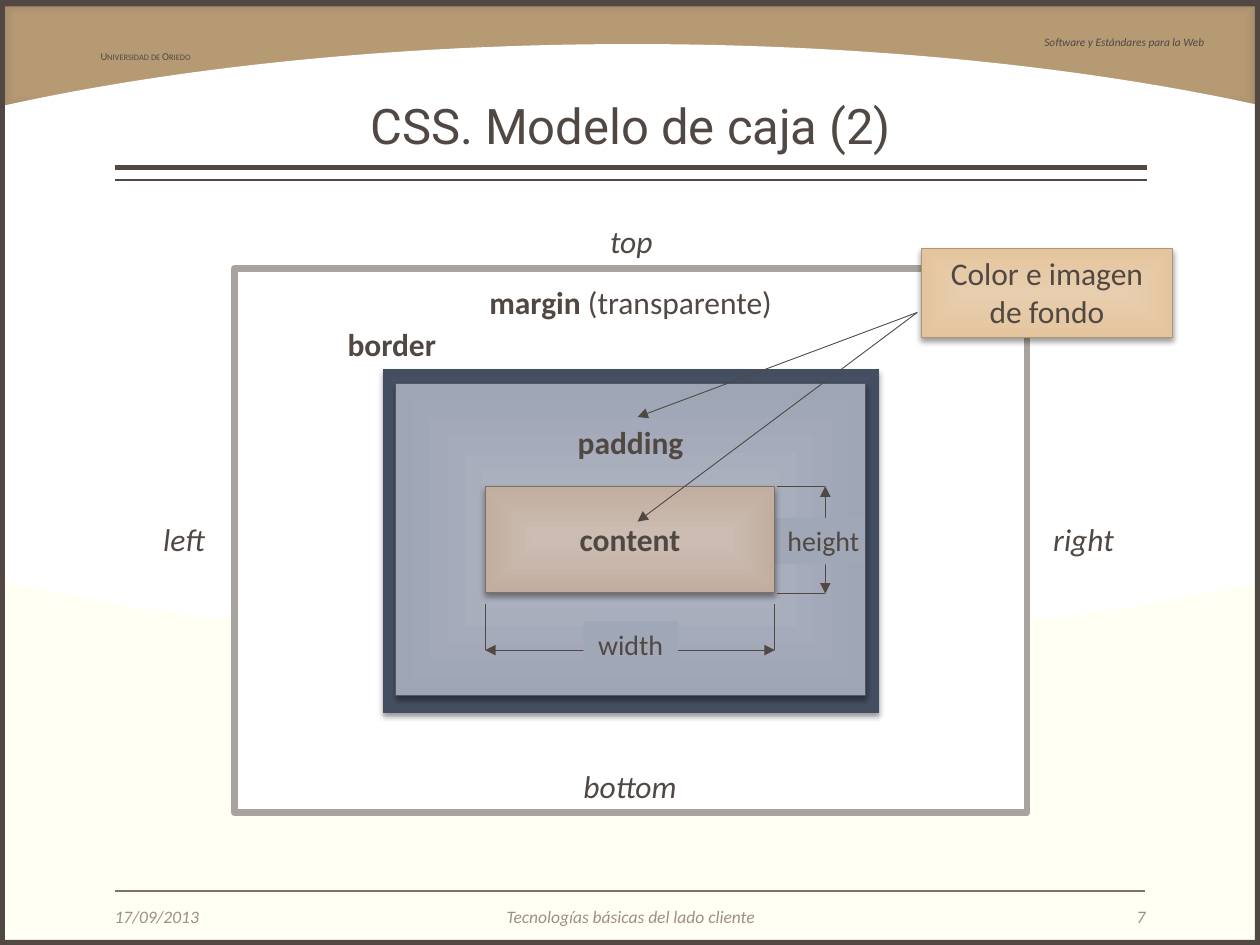
from dataclasses import dataclass

from lxml import etree
from pptx import Presentation
from pptx.dml.color import RGBColor
from pptx.enum.shapes import MSO_CONNECTOR, MSO_SHAPE
from pptx.enum.text import MSO_ANCHOR, PP_ALIGN
from pptx.oxml.ns import qn
from pptx.util import Inches, Pt

RECTANGLE, OVAL = MSO_SHAPE.RECTANGLE, MSO_SHAPE.OVAL
STRAIGHT = MSO_CONNECTOR.STRAIGHT
TOP, MIDDLE, BOTTOM = MSO_ANCHOR.TOP, MSO_ANCHOR.MIDDLE, MSO_ANCHOR.BOTTOM
LEFT, CENTER, RIGHT = PP_ALIGN.LEFT, PP_ALIGN.CENTER, PP_ALIGN.RIGHT

INK = RGBColor(0x51, 0x48, 0x43)
WHITE = RGBColor(0xFF, 0xFF, 0xFF)
CREAM = RGBColor(0xFF, 0xFF, 0xF3)
MUTED = RGBColor(0x9D, 0x8F, 0x88)
RULE = RGBColor(0x82, 0x72, 0x66)
MARGIN_LINE = RGBColor(0xA8, 0xA3, 0x9E)
PADDING_LINE = RGBColor(0x50, 0x58, 0x68)
CONTENT_LINE = RGBColor(0x80, 0x6F, 0x63)
CALLOUT_LINE = RGBColor(0xAB, 0x97, 0x7A)
LABEL_FILL = RGBColor(0xA0, 0xA8, 0xB7)
BAND = ((0, RGBColor(0xB7, 0x9B, 0x75)), (71, RGBColor(0xB5, 0x9A, 0x74)),
        (100, RGBColor(0xA1, 0x89, 0x67)))
BORDER = ((0, RGBColor(0x4E, 0x59, 0x6E)), (71, RGBColor(0x4D, 0x58, 0x6D)),
          (100, RGBColor(0x44, 0x4E, 0x61)))
PADDING = ((0, RGBColor(0xB1, 0xB6, 0xC2)), (100, RGBColor(0x9E, 0xA5, 0xB5)))
CONTENT = ((0, RGBColor(0xCC, 0xBD, 0xB3)), (100, RGBColor(0xC2, 0xAE, 0xA1)))
CALLOUT = ((0, RGBColor(0xE8, 0xCE, 0xAF)), (100, RGBColor(0xE4, 0xC4, 0x9D)))

COLUMNS, ROWS = 100, 75
CELL = Inches(0.1)


@dataclass
class Box:
    """A region of the slide, in grid columns and rows."""
    left: float
    top: float
    width: float
    height: float

    def inner(self, left, top, width, height):
        """Return a box placed from this box's corner."""
        return Box(self.left + left, self.top + top, width, height)

    def point(self, left, top):
        """Return a slide point placed from this box's corner."""
        return self.left + left, self.top + top

    def lengths(self):
        """Return left, top, width and height as slide lengths."""
        return [round(n * CELL) for n in (self.left, self.top, self.width, self.height)]


def add_xml(parent, tag, **attributes):
    """Append a drawing element to a parent."""
    return etree.SubElement(parent, qn(tag), {k: str(v) for k, v in attributes.items()})


def add_colour(parent, colour):
    """Append an RGB colour element."""
    return add_xml(parent, "a:srgbClr", val=colour)


def fill_from_centre(shape, stops):
    """Fill a shape with a rectangular gradient."""
    shape.fill.gradient()
    gradient = shape._element.spPr.find(qn("a:gradFill"))
    for child in list(gradient):
        gradient.remove(child)
    stop_list = add_xml(gradient, "a:gsLst")
    for position, colour in stops:
        add_colour(add_xml(stop_list, "a:gs", pos=position * 1000), colour)
    direction = add_xml(gradient, "a:path", path="rect")
    add_xml(direction, "a:fillToRect", l=50000, t=50000, r=50000, b=50000)


def add_block(slide, box, fill, line=None, line_width=0.5, blur=0, kind=RECTANGLE):
    """Add a filled shape, with a soft shadow when blur is given."""
    shape = slide.shapes.add_shape(kind, *box.lengths())
    shape.shadow.inherit = False
    if isinstance(fill, RGBColor):
        shape.fill.solid()
        shape.fill.fore_color.rgb = fill
    else:
        fill_from_centre(shape, fill)
    if line is None:
        shape.line.fill.background()
    else:
        shape.line.color.rgb = line
        shape.line.width = Pt(line_width)
    if blur:
        effects = shape._element.spPr.find(qn("a:effectLst"))
        shadow = add_xml(effects, "a:outerShdw", blurRad=Pt(blur), dist=Pt(2),
                         dir=5400000, algn="ctr", rotWithShape=0)
        add_xml(add_colour(shadow, RGBColor(0, 0, 0)), "a:alpha", val=38000)
    return shape


def write(shape, pieces, size, align=CENTER, anchor=TOP, side=0.1, top=0.05,
          right=None, spacing=None, small_caps=False, **font):
    """Write one paragraph made of (text, font values) pieces."""
    frame = shape.text_frame
    layout = {"word_wrap": True, "vertical_anchor": anchor, "margin_left": Inches(side),
              "margin_right": Inches(side if right is None else right),
              "margin_top": Inches(top), "margin_bottom": Inches(0.05)}
    for name, value in layout.items():
        setattr(frame, name, value)
    paragraph = frame.paragraphs[0]
    paragraph.alignment = align
    paragraph.line_spacing = spacing
    for text, extra in [(pieces, {})] if isinstance(pieces, str) else pieces:
        run = paragraph.add_run()
        run.text = text
        values = {"name": "Calibri", "size": Pt(size), **font, **extra}
        run.font.color.rgb = values.pop("colour", INK)
        for name, value in values.items():
            setattr(run.font, name, value)
        if small_caps:
            run._r.get_or_add_rPr().set("cap", "small")


def add_label(slide, box, pieces, size, **values):
    """Add a text box."""
    write(slide.shapes.add_textbox(*box.lengths()), pieces, size, **values)


def add_line(slide, start, end, colour=INK, width=0.5, heads=()):
    """Add a straight line with the given arrowheads."""
    ends = [round(n * CELL) for n in (*start, *end)]
    line = slide.shapes.add_connector(STRAIGHT, *ends)
    line.line.color.rgb = colour
    line.line.width = Pt(width)
    properties = line._element.spPr
    for head in heads:
        add_xml(properties.find(qn("a:ln")), head, type="triangle")
    add_xml(properties, "a:effectLst")


def add_header(slide, box):
    """Add the arched band, the frame, the title and its rules."""
    add_block(slide, box.inner(0, 0, COLUMNS, 8.8), BAND, blur=3.1)
    add_block(slide, box.inner(-32, 3.5, 164.4, 47.6), WHITE, kind=OVAL)
    for edge in ((0, 0, 0.4, ROWS), (COLUMNS - 0.4, 0, 0.4, ROWS),
                 (0, 0, COLUMNS, 0.5), (0, ROWS - 0.4, COLUMNS, 0.4)):
        add_block(slide, box.inner(*edge), INK)
    for row, width in ((13.3, 3), (14.3, 1)):
        add_line(slide, box.point(9.1, row), box.point(91, row), width=width)
    add_label(slide, box.inner(7, 3.5, 12, 2), "Universidad de Oriedo", 6,
              align=LEFT, small_caps=True)
    add_label(slide, box.inner(81.9, 2.3, 18.1, 2.1), "Software y Estándares para la Web",
              6.5, align=LEFT, italic=True)
    add_label(slide, box.inner(9.1, 0.8, 81.9, 12), "CSS. Modelo de caja (2)", 28,
              anchor=BOTTOM, side=0, spacing=0.9, name="Roboto")


def add_footer(slide, box):
    """Add the footer rule, date, subject and number."""
    add_line(slide, box.point(0, 0), box.point(box.width, 0), RULE, 1)
    for left, width, text, align in ((0, 15, "17/09/2013", LEFT),
                                     (15, 51.9, "Tecnologías básicas del lado cliente", CENTER),
                                     (66.8, 15, "7", RIGHT)):
        add_label(slide, box.inner(left, 0.6, width, 2.9), text, 10, align=align,
                  anchor=MIDDLE, side=0, italic=True, colour=MUTED)


def add_dimension(slide, start, end, tick):
    """Add a double arrow whose ends carry extension lines."""
    for column, row in (start, end):
        add_line(slide, (column - tick[0], row - tick[1]), (column, row))
    add_line(slide, start, end, heads=("a:headEnd", "a:tailEnd"))


def add_box_model(slide, box):
    """Add the nested boxes with their names, dimensions and callout."""
    add_block(slide, box, WHITE, MARGIN_LINE, 3.78)
    add_block(slide, box.inner(11.8, 8, 39.4, 27.3), BORDER, blur=3.1)
    padding = add_block(slide, box.inner(12.8, 9.1, 37.3, 24.8), PADDING, PADDING_LINE, blur=3.5)
    write(padding, "padding", 18, top=0.32, bold=True)

    add_label(slide, box.inner(8, 4, 11.9, 4), "border", 18, align=LEFT, bold=True)
    add_label(slide, box.inner(18, 0.7, 26.9, 4),
              [("margin", {"bold": True}), (" (transparente)", {})], 18)
    for left, top, side_name in ((22.5, 39.1, "bottom"), (22.6, -4.2, "top"),
                                 (58.5, 19.5, "right"), (-12.9, 19.5, "left")):
        add_label(slide, box.inner(left, top, 17.8, 4), side_name, 18, italic=True)

    add_dimension(slide, box.point(19.9, 30.3), box.point(42.9, 30.3), (0, 3.7))
    width_label = add_block(slide, box.inner(27.7, 28, 7.5, 3.7), LABEL_FILL)
    write(width_label, "width", 16)
    add_dimension(slide, box.point(46.9, 17.3), box.point(46.9, 25.8), (3.8, 0))
    height_label = add_block(slide, box.inner(41.3, 19.8, 8.7, 3.7), LABEL_FILL)
    write(height_label, "height", 16, align=RIGHT, right=0.04)

    content = add_block(slide, box.inner(19.9, 17.3, 23, 8.4), CONTENT, CONTENT_LINE, blur=3.5)
    write(content, "content", 18, anchor=MIDDLE, bold=True)
    for row in (11.8, 20.1):
        add_line(slide, box.point(54.2, 3.5), box.point(32, row), heads=("a:tailEnd",))
    callout = add_block(slide, box.inner(54.5, -1.6, 20, 7.1), CALLOUT, CALLOUT_LINE, blur=3.5)
    write(callout, "Color e imagen de fondo", 18)


def main():
    """Build and save the slide."""
    presentation = Presentation()
    presentation.slide_width = COLUMNS * CELL
    presentation.slide_height = ROWS * CELL
    slide = presentation.slides.add_slide(presentation.slide_layouts[6])
    slide.background.fill.solid()
    slide.background.fill.fore_color.rgb = CREAM
    add_header(slide, Box(0, 0, COLUMNS, 15))
    add_box_model(slide, Box(18.6, 21.3, 62.9, 43.2))
    add_footer(slide, Box(9.1, 70.7, 81.8, 3.5))
    presentation.save("out.pptx")


main()
